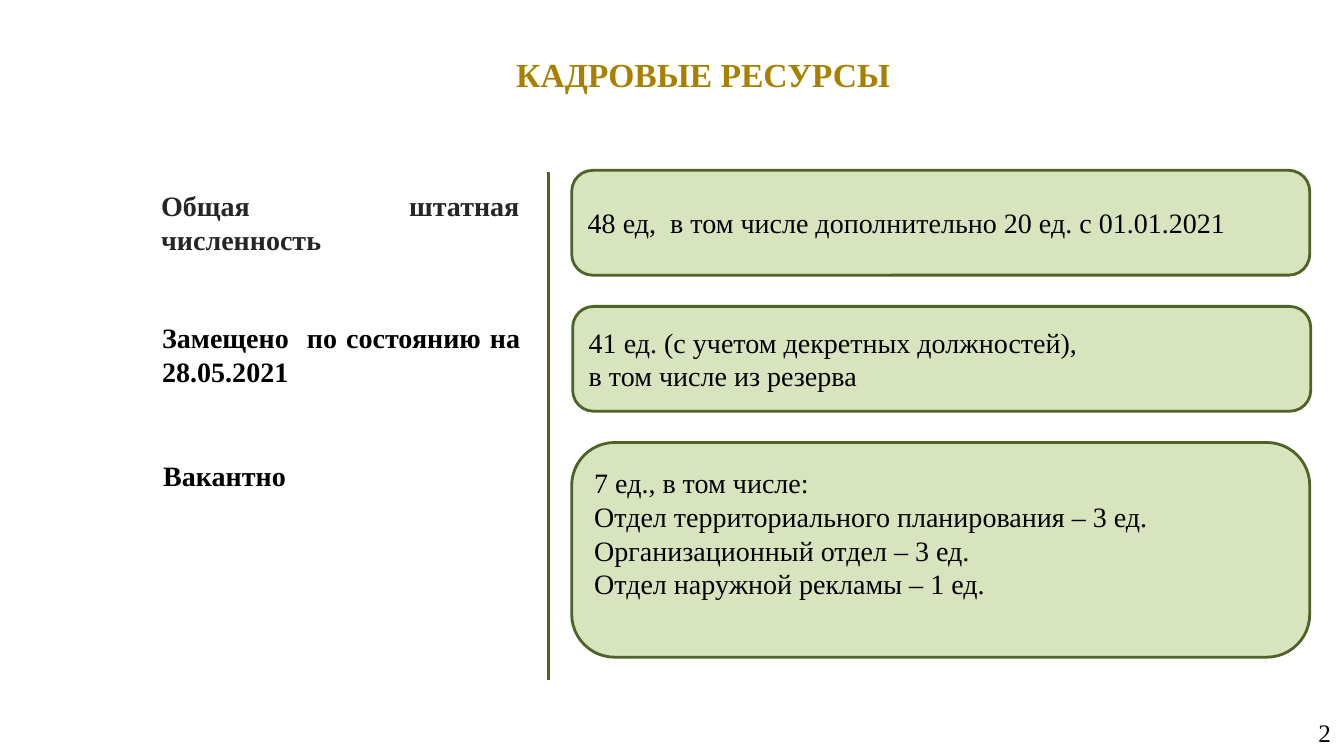
from lxml import etree
from pptx import Presentation
from pptx.dml.color import RGBColor
from pptx.enum.shapes import MSO_CONNECTOR, MSO_SHAPE
from pptx.enum.text import MSO_ANCHOR, MSO_AUTO_SIZE, PP_ALIGN
from pptx.oxml.ns import qn
from pptx.util import Inches, Pt

ROUNDED = MSO_SHAPE.ROUNDED_RECTANGLE
STRAIGHT = MSO_CONNECTOR.STRAIGHT
TOP, MIDDLE = MSO_ANCHOR.TOP, MSO_ANCHOR.MIDDLE
NO_FIT = MSO_AUTO_SIZE.NONE
LEFT, CENTER, RIGHT = PP_ALIGN.LEFT, PP_ALIGN.CENTER, PP_ALIGN.RIGHT
JUSTIFY = PP_ALIGN.JUSTIFY

FONT = "Times New Roman"
TITLE_LAYOUT = 5
COLORS = {
    "title": "A88000",
    "heading": "262626",
    "text": "000000",
    "card": "D7E4BD",
    "border": "4F6228",
}
STAFF_ROWS = [
    {
        "label": "Общая штатная численность",
        "label_at": (1.5, 1.82, 3.75, 0.76),
        "color": "heading",
        "card": ["48 ед,  в том числе дополнительно 20 ед. с 01.01.2021"],
        "card_at": (5.67, 1.69, 7.32, 1.04),
        "bottom": 0.05,
    },
    {
        "label": "Замещено  по состоянию на 28.05.2021",
        "label_at": (1.51, 3.13, 3.75, 0.77),
        "color": "text",
        "card": ["41 ед. (с учетом декретных должностей),", "в том числе из резерва"],
        "card_at": (5.68, 3.04, 7.32, 1.04),
        "bottom": 0.05,
    },
    {
        "label": "Вакантно",
        "label_at": (1.52, 4.5, 3.75, 0.43),
        "color": "text",
        "card": [
            "7 ед., в том числе:",
            "Отдел территориального планирования – 3 ед.",
            "Организационный отдел – 3 ед.",
            "Отдел наружной рекламы – 1 ед.",
        ],
        "card_at": (5.67, 4.39, 7.32, 2.13),
        "bottom": 0.38,
    },
]


def rgb(name):
    return RGBColor.from_string(COLORS[name])


def write(box, lines, size, color="text", bold=False, align=LEFT,
          anchor=TOP, insets=(0.1, 0.05, 0.1, 0.05)):
    frame = box.text_frame
    frame.text = "\n".join(lines)
    frame.word_wrap = True
    frame.auto_size = NO_FIT
    frame.vertical_anchor = anchor
    (frame.margin_left, frame.margin_top,
     frame.margin_right, frame.margin_bottom) = map(Inches, insets)
    for para in frame.paragraphs:
        para.alignment = align
        for span in para.runs:
            span.font.name = FONT
            span.font.size = Pt(size)
            span.font.bold = bold
            span.font.color.rgb = rgb(color)


def add_title(page):
    title = page.shapes.title
    title.left, title.top, title.width, title.height = map(Inches, (1.65, 0.46, 10.65, 0.53))
    write(title, ["КАДРОВЫЕ РЕСУРСЫ"], 24, "title", True, CENTER,
          insets=(0.13, 0.07, 0.13, 0.07))


def add_label(page, text, place, color):
    box = page.shapes.add_textbox(*map(Inches, place))
    write(box, [text], 20, color, True, JUSTIFY)


def add_card(page, lines, place, bottom):
    card = page.shapes.add_shape(ROUNDED, *map(Inches, place))
    card.shadow.inherit = False
    card.adjustments[0] = 0.2
    card.fill.solid()
    card.fill.fore_color.rgb = rgb("card")
    card.line.color.rgb = rgb("border")
    card.line.width = Pt(2)
    write(card, lines, 20, anchor=MIDDLE, insets=(0.1, 0.05, 0.1, bottom))


def add_divider(page):
    divider = page.shapes.add_connector(STRAIGHT, *map(Inches, (5.44, 1.71, 5.44, 6.75)))
    divider.line.color.rgb = rgb("border")
    divider.line.width = Pt(2)
    etree.SubElement(divider._element.spPr, qn("a:effectLst"))


def add_page_number(page):
    box = page.shapes.add_textbox(*map(Inches, (10.22, 7.07, 3.11, 0.4)))
    write(box, ["2"], 18, align=RIGHT, anchor=MIDDLE, insets=(0.13, 0.07, 0.13, 0.07))


def main():
    deck = Presentation()
    deck.slide_width, deck.slide_height = Inches(13.33), Inches(7.5)
    page = deck.slides.add_slide(deck.slide_layouts[TITLE_LAYOUT])
    add_title(page)
    add_divider(page)
    for row in STAFF_ROWS:
        add_label(page, row["label"], row["label_at"], row["color"])
        add_card(page, row["card"], row["card_at"], row["bottom"])
    add_page_number(page)
    deck.save("out.pptx")


if __name__ == "__main__":
    main()
